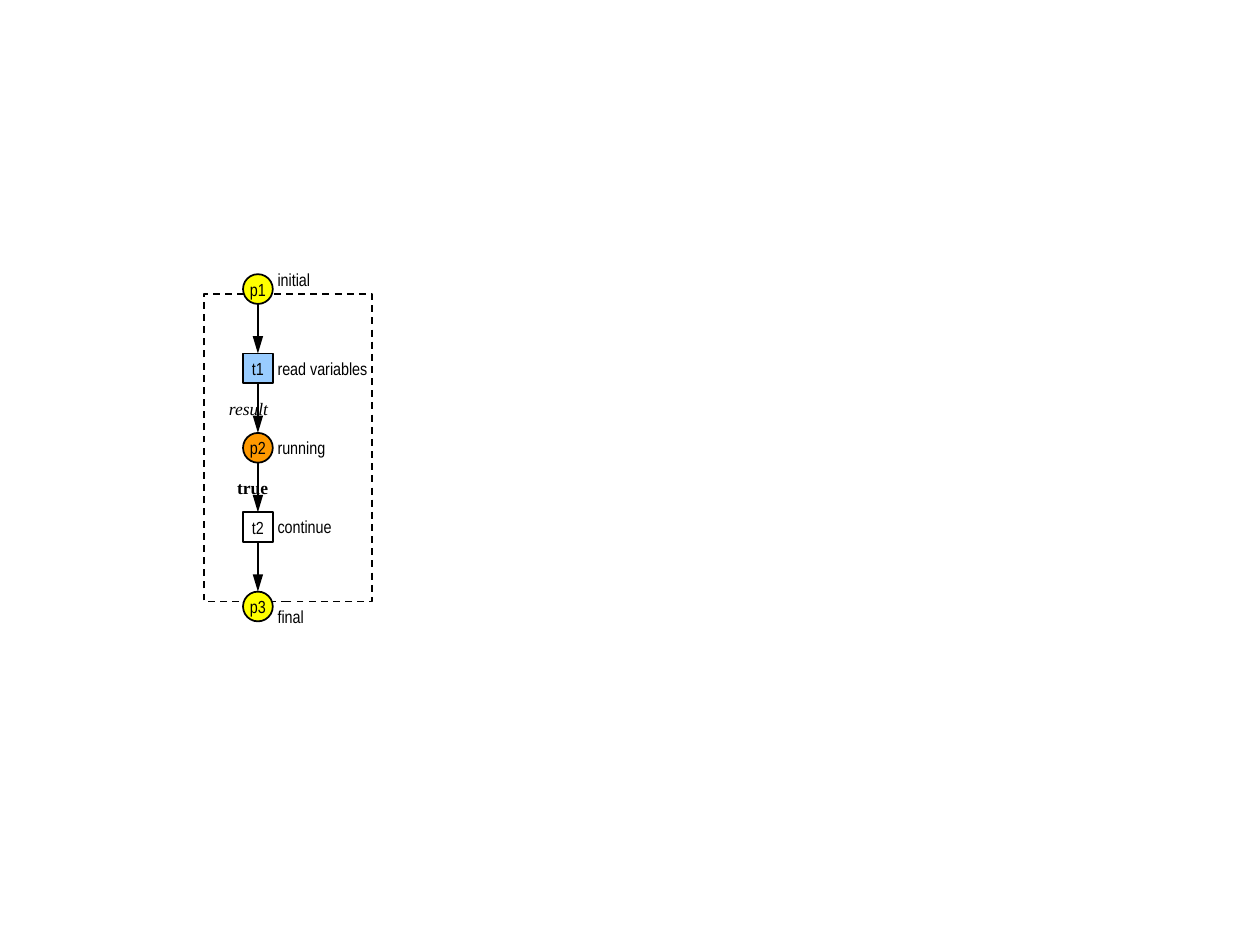
from dataclasses import dataclass

from lxml.etree import SubElement
from pptx import Presentation
from pptx.dml.color import RGBColor
from pptx.enum.dml import MSO_LINE
from pptx.enum.shapes import MSO_CONNECTOR, MSO_SHAPE
from pptx.enum.text import MSO_ANCHOR, PP_ALIGN
from pptx.oxml.ns import qn
from pptx.util import Pt

BLACK = "000000"
NODE_LEFT, NODE_TOP, NODE_SIZE = 138.9, 156.7, 17
NODE_PITCH = 45.35
ARROW_LENGTH = NODE_PITCH - NODE_SIZE
CENTER = NODE_LEFT + NODE_SIZE / 2
LABEL_LEFT, LABEL_WIDTH = 155.8, 60
CONDITION_LEFT, CONDITION_WIDTH = 123.2, 30


@dataclass(frozen=True)
class Node:
    name: str
    label: str
    shape_type: MSO_SHAPE
    fill: str
    label_shift: float = 0
    condition: str = ""
    bold: bool = False
    italic: bool = False


NODES = [
    Node("p1", "initial", MSO_SHAPE.OVAL, "FFFF00", label_shift=-5.7),
    Node("t1", "read variables", MSO_SHAPE.RECTANGLE, "99CCFF", condition="result", italic=True),
    Node("p2", "running", MSO_SHAPE.OVAL, "FF9900", condition="true", bold=True),
    Node("t2", "continue", MSO_SHAPE.RECTANGLE, "FFFFFF", label_shift=-0.3),
    Node("p3", "final", MSO_SHAPE.OVAL, "FFFF00", label_shift=5.7),
]


def color(value: str) -> RGBColor:
    return RGBColor.from_string(value)


def style_line(line) -> None:
    line.color.rgb = color(BLACK)
    line.width = Pt(1)


def write_text(shape, text: str, alignment: PP_ALIGN, margins: tuple[float, float],
               font_name: str = "Arial Narrow", bold: bool = False, italic: bool = False) -> None:
    """Write one unwrapped line; margins are horizontal, then vertical."""
    frame = shape.text_frame
    frame.word_wrap = False
    frame.vertical_anchor = MSO_ANCHOR.MIDDLE
    frame.margin_left = frame.margin_right = Pt(margins[0])
    frame.margin_top = frame.margin_bottom = Pt(margins[1])
    paragraph = frame.paragraphs[0]
    paragraph.alignment = alignment
    run = paragraph.add_run()
    run.text = text
    run.font.name = font_name
    run.font.size = Pt(10)
    run.font.bold = bold
    run.font.italic = italic
    run.font.color.rgb = color(BLACK)


def add_frame(slide) -> None:
    frame = slide.shapes.add_shape(MSO_SHAPE.RECTANGLE, Pt(116.4), Pt(168), Pt(96.2), Pt(175.7))
    frame.shadow.inherit = False
    frame.fill.background()
    style_line(frame.line)
    frame.line.dash_style = MSO_LINE.DASH


def add_node(slide, node: Node, top: float) -> None:
    shape = slide.shapes.add_shape(node.shape_type, Pt(NODE_LEFT), Pt(top),
                                   Pt(NODE_SIZE), Pt(NODE_SIZE))
    shape.shadow.inherit = False
    shape.fill.solid()
    shape.fill.fore_color.rgb = color(node.fill)
    style_line(shape.line)
    write_text(shape, node.name, PP_ALIGN.CENTER, (7.2, 3.6))


def add_label(slide, node: Node, top: float) -> None:
    label = slide.shapes.add_textbox(Pt(LABEL_LEFT), Pt(top + node.label_shift),
                                     Pt(LABEL_WIDTH), Pt(NODE_SIZE))
    write_text(label, node.label, PP_ALIGN.LEFT, (2.8, 0))


def add_arrow(slide, top: float) -> None:
    arrow = slide.shapes.add_connector(MSO_CONNECTOR.STRAIGHT, Pt(CENTER), Pt(top),
                                       Pt(CENTER), Pt(top + ARROW_LENGTH))
    style_line(arrow.line)
    SubElement(arrow.line._get_or_add_ln(), qn("a:tailEnd"), type="triangle", w="med", len="lg")
    SubElement(arrow._element.spPr, qn("a:effectLst"))


def add_condition(slide, node: Node, top: float) -> None:
    box = slide.shapes.add_textbox(Pt(CONDITION_LEFT), Pt(top),
                                   Pt(CONDITION_WIDTH), Pt(ARROW_LENGTH))
    write_text(box, node.condition, PP_ALIGN.RIGHT, (0, 0),
               "Times New Roman", node.bold, node.italic)


def main() -> None:
    presentation = Presentation()
    presentation.slide_width = Pt(720)
    presentation.slide_height = Pt(540)
    slide = presentation.slides.add_slide(presentation.slide_layouts[6])
    add_frame(slide)
    for index, node in enumerate(NODES):
        top = NODE_TOP + index * NODE_PITCH
        bottom = top + NODE_SIZE
        add_node(slide, node, top)
        add_label(slide, node, top)
        if index < len(NODES) - 1:
            add_arrow(slide, bottom)
        if node.condition:
            add_condition(slide, node, bottom)
    presentation.save("out.pptx")


if __name__ == "__main__":
    main()
